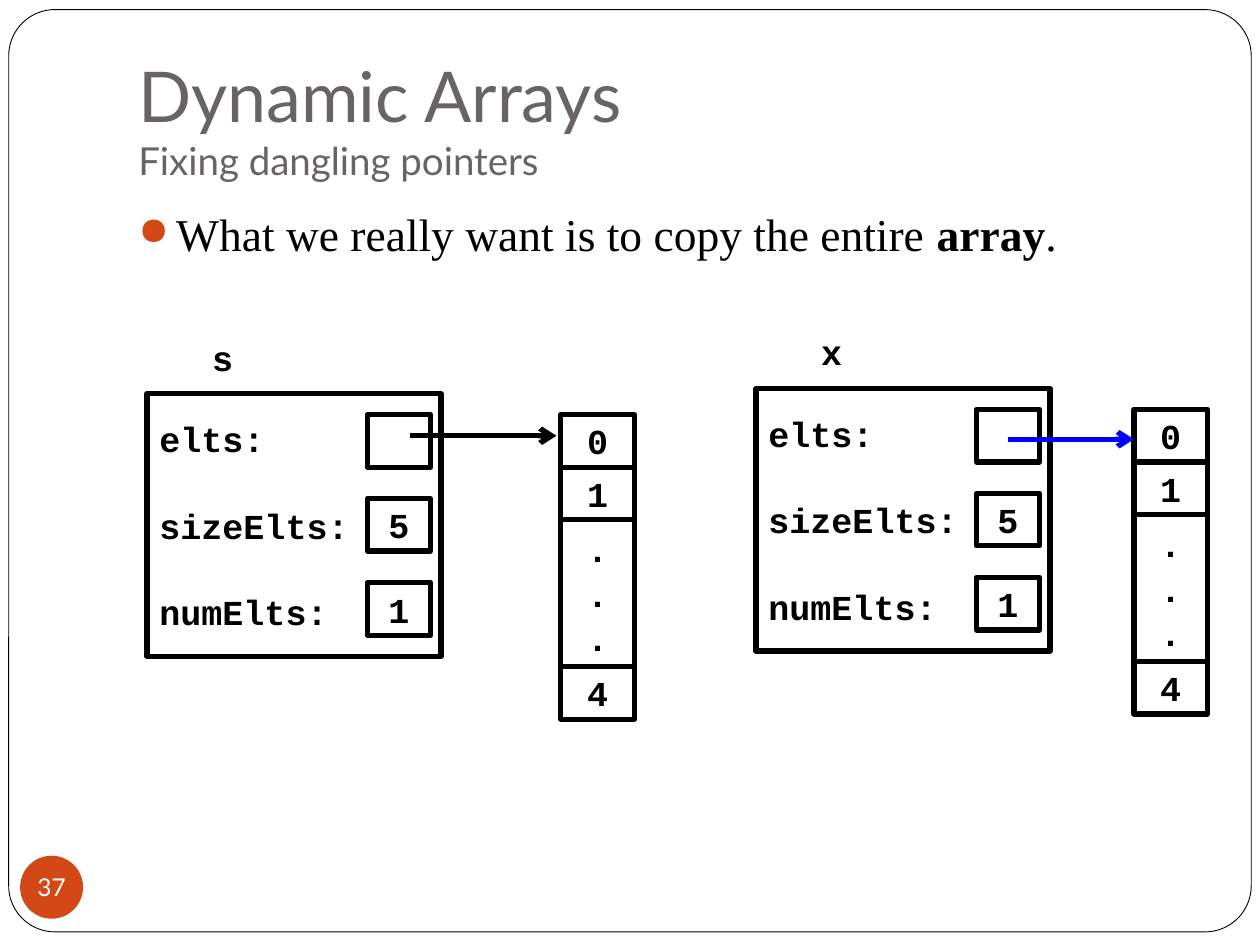
import pptx
import pptx.dml.color
import pptx.enum.shapes
import pptx.enum.text
import pptx.util
from lxml import etree
from pptx.oxml.ns import qn

Pt = pptx.util.Pt
Kind = pptx.enum.shapes.MSO_SHAPE
Align = pptx.enum.text.PP_ALIGN
Anchor = pptx.enum.text.MSO_ANCHOR

INK, GREY, RUST, BLUE, WHITE = "000000", "696464", "D34817", "0000FF", "FFFFFF"
CODE, HEAD, BODY = "Courier New", "Lato", "Times New Roman"


def color(code):
    return pptx.dml.color.RGBColor.from_string(code)


class Deck:
    def __init__(self, wide, high):
        self.prs = pptx.Presentation()
        self.prs.slide_width, self.prs.slide_height = Pt(wide), Pt(high)
        self.slide = self.prs.slides.add_slide(self.prs.slide_layouts[6])

    def style(self, run, font, size, ink, bold=False):
        run.font.name, run.font.size, run.font.bold = font, Pt(size), bold
        run.font.color.rgb = color(ink)

    def label(self, shape, text, font=CODE, size=20, ink=INK, bold=True,
              align=Align.CENTER, anchor=Anchor.MIDDLE, gap=0):
        frame = shape.text_frame
        frame.word_wrap = True
        frame.vertical_anchor = anchor
        frame.text = text
        for i, para in enumerate(frame.paragraphs):
            para.alignment = align
            para.space_before = Pt(gap if i else 0)
            for run in para.runs:
                self.style(run, font, size, ink, bold)
        return frame

    def text(self, x, y, w, h, text, **look):
        box = self.slide.shapes.add_textbox(Pt(x), Pt(y), Pt(w), Pt(h))
        return self.label(box, text, **look)

    def shape(self, x, y, w, h, kind=Kind.RECTANGLE, fill=None, line=INK, width=3):
        item = self.slide.shapes.add_shape(kind, Pt(x), Pt(y), Pt(w), Pt(h))
        item.shadow.inherit = False
        if fill:
            item.fill.solid()
            item.fill.fore_color.rgb = color(fill)
        else:
            item.fill.background()
        if line:
            item.line.color.rgb = color(line)
            item.line.width = Pt(width)
        else:
            item.line.fill.background()
        return item

    def cell(self, x, y, w, h, text, **look):
        box = self.shape(x, y, w, h)
        if text:
            self.label(box, text, **look)

    def arrow(self, x, y, end, ink):
        link = self.slide.shapes.add_connector(
            pptx.enum.shapes.MSO_CONNECTOR.STRAIGHT, Pt(x), Pt(y), Pt(end), Pt(y))
        link.line.color.rgb = color(ink)
        link.line.width = Pt(3)
        props = link._element.spPr
        etree.SubElement(props.find(qn("a:ln")), qn("a:tailEnd"), type="arrow")
        etree.SubElement(props, qn("a:effectLst"))

    def bullet(self, para, mark, ink, scale, indent):
        props = para._p.get_or_add_pPr()
        props.set("marL", str(Pt(indent)))
        props.set("indent", str(-Pt(indent)))
        tint = etree.SubElement(props, qn("a:buClr"))
        etree.SubElement(tint, qn("a:srgbClr"), val=ink)
        etree.SubElement(props, qn("a:buSzPct"), val=str(scale * 1000))
        etree.SubElement(props, qn("a:buChar"), char=mark)

    def record(self, x, y, name):
        """Box of named fields with a value cell beside each."""
        self.cell(x, y, 168, 150, "elts:\nsizeElts:\nnumElts:",
                  align=Align.LEFT, gap=25.3)
        for i, value in enumerate(["", "5", "1"]):
            self.cell(x + 126, y + 12 + 48 * i, 36, 30, value)
        head = self.text(x - 6, y - 42, 111, 42, name, align=Align.LEFT)
        head.margin_left = Pt(43.2)

    def array(self, x, y):
        """Column of element cells with a tall gap in the middle."""
        for text, high in [("0", 30), ("1", 30), (".\n.\n.", 84), ("4", 30)]:
            self.cell(x, y, 42, high, text, gap=1.3)
            y += high


def main():
    deck = Deck(720, 540)

    # Frame and page number
    frame = deck.shape(5, 5.5, 710, 527, Kind.ROUNDED_RECTANGLE, WHITE, INK, 0.5)
    frame.adjustments[0] = 0.05
    disc = deck.shape(11.5, 489, 36, 36, Kind.OVAL, RUST, None)
    page = deck.label(disc, "37", font=HEAD, size=14, ink=WHITE, bold=False)
    page.margin_left = page.margin_right = page.margin_top = page.margin_bottom = 0
    page.word_wrap = False

    # Title
    title = deck.text(72, 21.6, 612, 90, "Dynamic Arrays\vFixing dangling pointers",
                      font=HEAD, size=40, ink=GREY, bold=False,
                      align=Align.LEFT, anchor=Anchor.BOTTOM)
    title.margin_bottom = Pt(7.2)
    title.paragraphs[0].runs[1].font.size = Pt(22)

    # Bullet
    body = deck.text(72, 114, 612, 372, "", anchor=Anchor.TOP, align=Align.LEFT)
    para = body.paragraphs[0]
    deck.bullet(para, "●", RUST, 85, 21.6)
    for part, bold in [("What we really want is to copy the entire ", False),
                       ("array", True), (".", False)]:
        run = para.add_run()
        run.text = part
        deck.style(run, BODY, 26, INK, bold)

    # Each record points to its own array
    for name, left, top, column, start, drop, end, ink in [
            ("s", 84, 225, 320.5, 234, 24, 318, INK),
            ("x", 432, 222, 648, 576, 29, 648, BLUE)]:
        deck.record(left, top, name)
        deck.array(column, top + 12)
        deck.arrow(start, top + drop, end, ink)

    deck.prs.save("out.pptx")


if __name__ == "__main__":
    main()
